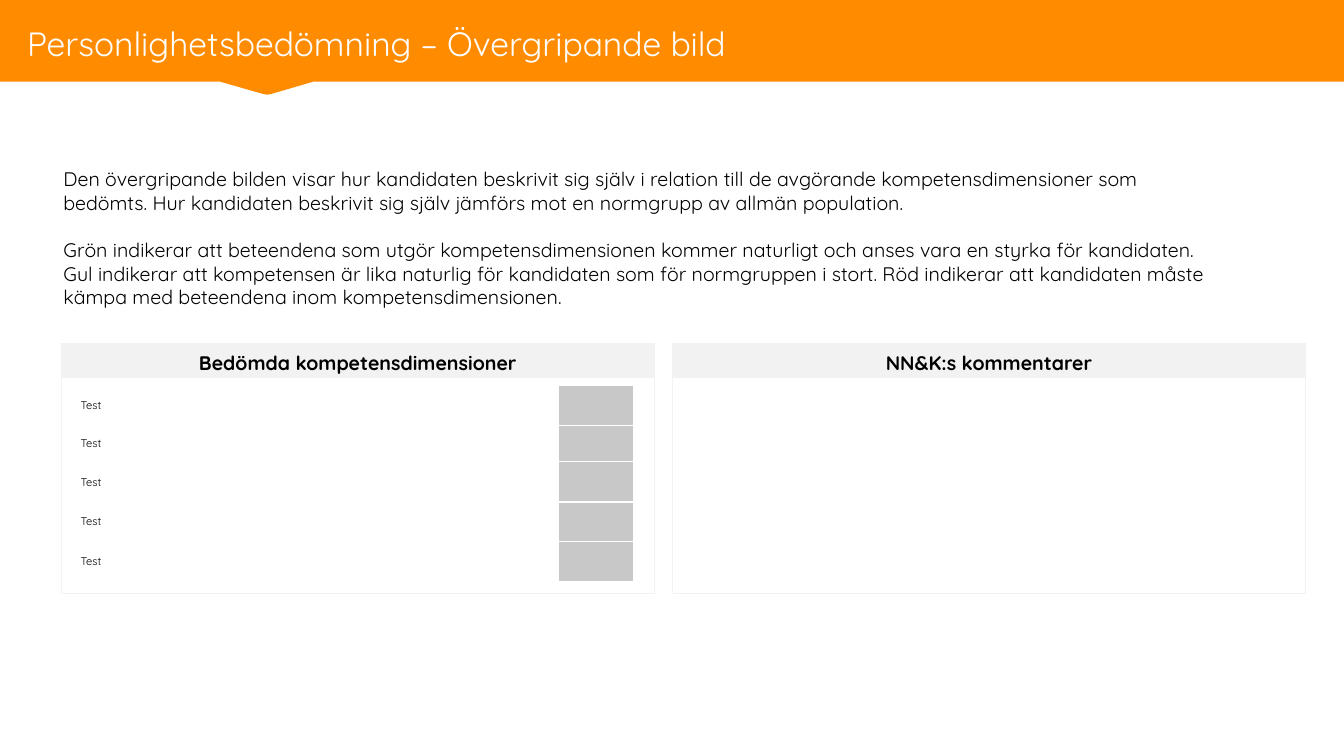
from dataclasses import dataclass

from lxml import etree
from pptx import Presentation
from pptx.dml.color import RGBColor
from pptx.enum import shapes, text
from pptx.oxml import ns
from pptx.util import Inches, Pt


@dataclass(frozen=True)
class Theme:
    font: str = "Quicksand"
    orange: str = "FF8C00"
    light: str = "F2F2F2"
    grey: str = "C8C8C8"
    white: str = "FFFFFF"
    title_color: str = "FEFEFE"
    ink: str = "000000"
    title_size: int = 24
    body_size: int = 14
    table_size: int = 8


THEME = Theme()

TITLE = "Personlighetsbedömning – Övergripande bild"
BODY = [
    "Den övergripande bilden visar hur kandidaten beskrivit sig själv i relation till "
    "de avgörande kompetensdimensioner som bedömts. Hur kandidaten beskrivit sig själv "
    "jämförs mot en normgrupp av allmän population.",
    "Grön indikerar att beteendena som utgör kompetensdimensionen kommer naturligt och "
    "anses vara en styrka för kandidaten. Gul indikerar att kompetensen är lika naturlig "
    "för kandidaten som för normgruppen i stort. Röd indikerar att kandidaten måste kämpa "
    "med beteendena inom kompetensdimensionen.",
]
DIMENSIONS = ["Test"] * 5
ROW_HEIGHTS = [0.4, 0.36, 0.4, 0.39, 0.4]
COLUMN_WIDTHS = [4.86, 0.74]


def color(value):
    return RGBColor.from_string(value)


def format_text(paragraph, size, ink=THEME.ink, bold=False):
    for run in paragraph.runs:
        run.font.size = Pt(size)
        run.font.name = THEME.font
        run.font.bold = bold
        run.font.color.rgb = color(ink)


def add_banner(slide):
    """Orange band with a small pointer on its lower edge."""
    points = [(0, 0), (0, 0.81), (2.18, 0.81), (2.6, 0.93), (2.65, 0.94),
              (2.7, 0.93), (3.11, 0.81), (13.33, 0.81)]
    builder = slide.shapes.build_freeform(Inches(13.33), 0)
    builder.add_line_segments([(Inches(x), Inches(y)) for x, y in points])
    banner = builder.convert_to_shape()
    banner.shadow.inherit = False
    banner.fill.solid()
    banner.fill.fore_color.rgb = color(THEME.orange)
    banner.line.fill.background()


def add_text(slide, box, paragraphs, size, ink=THEME.ink, gap=0,
             anchor=text.MSO_ANCHOR.TOP):
    shape = slide.shapes.add_textbox(*map(Inches, box))
    frame = shape.text_frame
    frame.word_wrap = True
    frame.vertical_anchor = anchor
    frame.text = "\n".join(paragraphs)
    for index, paragraph in enumerate(frame.paragraphs):
        format_text(paragraph, size, ink)
        if index:
            paragraph.space_before = Pt(gap)
    return shape


def add_text_shadow(run):
    effects = etree.Element(ns.qn("a:effectLst"))
    shadow = etree.SubElement(effects, ns.qn("a:outerShdw"), blurRad="38100",
                              dist="38100", dir="2700000", algn="tl")
    black = etree.SubElement(shadow, ns.qn("a:srgbClr"), val=THEME.ink)
    etree.SubElement(black, ns.qn("a:alpha"), val="43000")
    run.font.fill._xPr.find(ns.qn("a:solidFill")).addnext(effects)


def add_rectangle(slide, box, fill=None):
    shape = slide.shapes.add_shape(shapes.MSO_SHAPE.RECTANGLE, *map(Inches, box))
    shape.shadow.inherit = False
    if fill:
        shape.fill.solid()
        shape.fill.fore_color.rgb = color(fill)
    else:
        shape.fill.background()
    shape.line.color.rgb = color(THEME.light)
    shape.line.width = Pt(0.75)
    return shape


def add_panel(slide, left, width, heading):
    """Outlined box under a filled heading."""
    add_rectangle(slide, (left, 3.75, width, 2.14))
    header = add_rectangle(slide, (left, 3.41, width, 0.34), THEME.light)
    header.text_frame.text = heading
    header.text_frame.vertical_anchor = text.MSO_ANCHOR.MIDDLE
    paragraph = header.text_frame.paragraphs[0]
    paragraph.alignment = text.PP_ALIGN.CENTER
    paragraph.line_spacing = 1.14
    paragraph.space_after = Pt(2)
    format_text(paragraph, THEME.body_size, bold=True)


def set_borders(cell):
    properties = cell._tc.get_or_add_tcPr()
    for position, side in enumerate(("lnL", "lnR", "lnT", "lnB")):
        line = etree.Element(ns.qn(f"a:{side}"), w=str(Pt(1)))
        fill = etree.SubElement(line, ns.qn("a:solidFill"))
        etree.SubElement(fill, ns.qn("a:srgbClr"), val=THEME.white)
        properties.insert(position, line)


def add_dimension_table(slide):
    frame = slide.shapes.add_table(
        len(DIMENSIONS), len(COLUMN_WIDTHS), Inches(0.68), Inches(3.82),
        Inches(sum(COLUMN_WIDTHS)), Inches(sum(ROW_HEIGHTS)))
    table = frame.table
    table.first_row = table.horz_banding = False
    for column, width in zip(table.columns, COLUMN_WIDTHS):
        column.width = Inches(width)
    for row, height, name in zip(table.rows, ROW_HEIGHTS, DIMENSIONS):
        row.height = Inches(height)
        label, rating = row.cells
        label.text = name
        format_text(label.text_frame.paragraphs[0], THEME.table_size)
        label.fill.background()
        rating.fill.solid()
        rating.fill.fore_color.rgb = color(THEME.grey)
        for cell in (label, rating):
            cell.vertical_anchor = text.MSO_ANCHOR.MIDDLE
            cell.margin_left = cell.margin_right = Inches(0.12)
            cell.margin_top = cell.margin_bottom = 0
            set_borders(cell)


def main():
    presentation = Presentation()
    presentation.slide_width = Inches(13.33)
    presentation.slide_height = Inches(7.5)
    slide = presentation.slides.add_slide(presentation.slide_layouts[6])

    # Banner and title
    add_banner(slide)
    title = add_text(slide, (0.17, 0.08, 11.56, 0.6), [TITLE], THEME.title_size,
                     THEME.title_color, anchor=text.MSO_ANCHOR.BOTTOM)
    add_text_shadow(title.text_frame.paragraphs[0].runs[0])

    # Introduction
    add_text(slide, (0.53, 1.61, 11.59, 1.51), BODY, THEME.body_size, gap=17)

    # Assessed dimensions and comments
    add_panel(slide, 0.61, 5.88, "Bedömda kompetensdimensioner")
    add_dimension_table(slide)
    add_panel(slide, 6.67, 6.28, "NN&K:s kommentarer")

    presentation.save("out.pptx")


if __name__ == "__main__":
    main()
